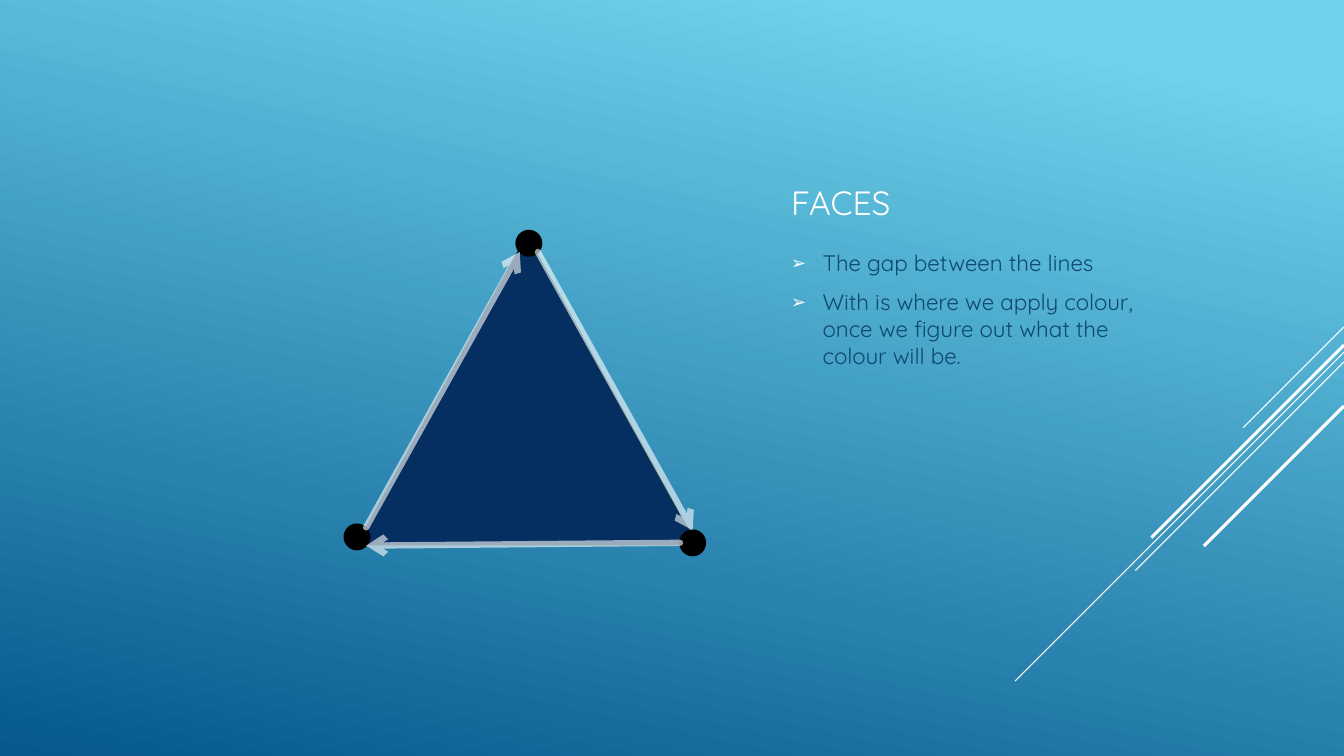
"""Build the slide that explains the faces of a triangle mesh."""
from lxml.etree import SubElement
from pptx import Presentation
from pptx.dml.color import RGBColor
from pptx.enum.shapes import MSO_CONNECTOR, MSO_SHAPE
from pptx.enum.text import MSO_ANCHOR
from pptx.oxml.ns import qn
from pptx.util import Pt

TITLE = "FACES"
POINTS = [
    "The gap between the lines",
    "With is where we apply colour, once we figure out what the colour will be.",
]
STRIPES = [
    (233.5, 72, 0.75),
    (251.5, 235, 0.75),
    (258.5, 149, 0.75),
    (246.5, 137.5, 2.25),
    (290, 100, 2.25),
]
FACE = (255, 168.5, 242.5, 220.5)
VERTICES = [(377.75, 173.75), (255, 383.5), (494.75, 387.75)]
EDGES = [
    ((261.5, 376.75), (371.25, 180)),
    ((384.25, 180), (494.75, 378.75)),
    ((485.75, 387.75), (261.5, 389.75)),
]
DOT = 18
WIDTH, HEIGHT = 960, 540
THEME = {
    "font": "Quicksand", "title_size": 24, "body_size": 16,
    "white": "FFFFFF", "body": "0F496F", "dot": "000000",
    "face": "052F61", "outline": "043148",
    "sky": [(0.1, "6ED2EB"), (1, "06588E")],
}


def colour(name):
    return RGBColor.from_string(THEME[name])


def add_background(page):
    fill = page.background.fill
    fill.gradient()
    fill.gradient_angle = 258
    for stop, (position, value) in zip(fill.gradient_stops, THEME["sky"]):
        stop.position = position
        stop.color.rgb = RGBColor.from_string(value)


def add_line(page, start, end, weight, arrow=False):
    line = page.shapes.add_connector(
        MSO_CONNECTOR.STRAIGHT, *map(Pt, (*start, *end)))
    line.line.width = Pt(weight)
    line.line.color.rgb = colour("white")
    properties = line._element.spPr
    SubElement(properties, qn("a:effectLst"))
    if arrow:
        outline = properties.find(qn("a:ln"))
        outline.set("cap", "rnd")
        SubElement(outline.find(".//" + qn("a:srgbClr")), qn("a:alpha"), val="60000")
        SubElement(outline, qn("a:tailEnd"), type="arrow")


def add_solid(page, kind, frame, fill, outline):
    shape = page.shapes.add_shape(kind, *map(Pt, frame))
    shape.shadow.inherit = False
    shape.fill.solid()
    shape.fill.fore_color.rgb = colour(fill)
    shape.line.color.rgb = colour(outline)
    shape.line.width = Pt(1.25)


def add_bullet(para):
    properties = para._p.get_or_add_pPr()
    properties.set("marL", str(Pt(22.5)))
    properties.set("indent", str(-Pt(22.5)))
    bullet_colour = SubElement(properties, qn("a:buClr"))
    SubElement(bullet_colour, qn("a:srgbClr"), val=THEME["white"])
    SubElement(properties, qn("a:buSzPct"), val="80000")
    SubElement(properties, qn("a:buFont"), typeface=THEME["font"])
    SubElement(properties, qn("a:buChar"), char="➢")


def add_text(page, lines, frame, size, ink, anchor=MSO_ANCHOR.TOP, bullets=False):
    box = page.shapes.add_textbox(*map(Pt, frame)).text_frame
    box.word_wrap = True
    box.vertical_anchor = anchor
    for index, line in enumerate(lines):
        para = box.add_paragraph() if index else box.paragraphs[0]
        if bullets:
            para.space_before, para.space_after = Pt(3), Pt(6)
            add_bullet(para)
        span = para.add_run()
        span.text = line
        span.font.name = THEME["font"]
        span.font.size = Pt(THEME[size])
        span.font.color.rgb = colour(ink)


def main():
    deck = Presentation()
    deck.slide_width, deck.slide_height = Pt(WIDTH), Pt(HEIGHT)
    page = deck.slides.add_slide(deck.slide_layouts[6])
    add_background(page)
    for top, reach, weight in STRIPES:
        add_line(page, (WIDTH, top), (WIDTH - reach, top + reach), weight)
    add_solid(page, MSO_SHAPE.ISOSCELES_TRIANGLE, FACE, "face", "outline")
    add_text(page, [TITLE], (558, 54, 288, 108), "title_size", "white",
             anchor=MSO_ANCHOR.BOTTOM)
    add_text(page, POINTS, (558, 174.25, 288, 165), "body_size", "body", bullets=True)
    for x, y in VERTICES:
        frame = (x - DOT / 2, y - DOT / 2, DOT, DOT)
        add_solid(page, MSO_SHAPE.OVAL, frame, "dot", "dot")
    for start, end in EDGES:
        add_line(page, start, end, 4.5, arrow=True)
    deck.save("out.pptx")


if __name__ == "__main__":
    main()
